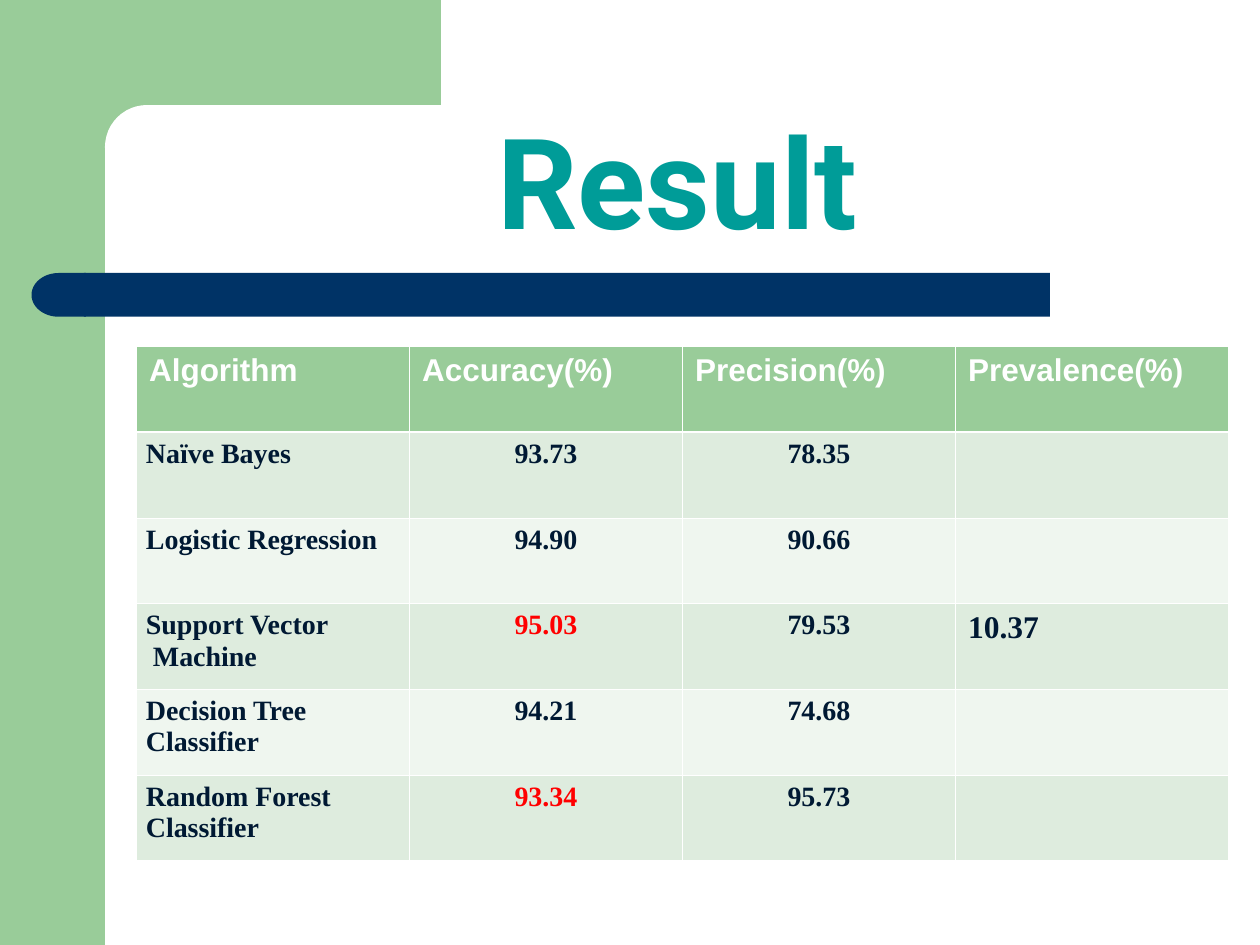
from dataclasses import dataclass

from lxml.etree import SubElement
from pptx import Presentation
from pptx.dml.color import RGBColor
from pptx.enum.shapes import MSO_SHAPE
from pptx.enum.text import MSO_ANCHOR, PP_ALIGN
from pptx.oxml import parse_xml
from pptx.oxml.ns import nsdecls, qn
from pptx.util import Pt


@dataclass(frozen=True)
class Theme:
    green: str = "99CC99"
    navy: str = "003366"
    white: str = "FFFFFF"
    teal: str = "009C98"
    ink: str = "001933"
    red: str = "FF0000"
    bands: tuple = ("DEECDE", "EFF6EF")
    title_font: str = "Roboto"
    header_font: str = "Arial"
    body_font: str = "Times New Roman"
    title_size: float = 72
    large_size: float = 18
    body_size: float = 16
    thin_line: float = 0.45
    thick_line: float = 1.47


class SlideBuilder:
    def __init__(self, slide, theme):
        self.slide = slide
        self.theme = theme

    def block(self, kind, left, top, width, height, color, rounding=None, rotation=0):
        shape = self.slide.shapes.add_shape(kind, Pt(left), Pt(top), Pt(width), Pt(height))
        shape.shadow.inherit = False
        shape.fill.solid()
        shape.fill.fore_color.rgb = RGBColor.from_string(color)
        shape.line.fill.background()
        shape.rotation = rotation
        if rounding is not None:
            shape.adjustments[0] = rounding

    def style(self, paragraph, font, size, color, alignment):
        paragraph.alignment = alignment
        paragraph.font.name = font
        paragraph.font.size = Pt(size)
        paragraph.font.bold = True
        paragraph.font.color.rgb = RGBColor.from_string(color)

    def title(self, text, left, top, width, height):
        box = self.slide.shapes.add_textbox(Pt(left), Pt(top), Pt(width), Pt(height))
        frame = box.text_frame
        frame.word_wrap = True
        frame.vertical_anchor = MSO_ANCHOR.BOTTOM
        paragraph = frame.paragraphs[0]
        paragraph.text = text
        paragraph.line_spacing = 0.9
        self.style(paragraph, self.theme.title_font, self.theme.title_size,
                   self.theme.teal, PP_ALIGN.CENTER)

    def borders(self, cell, top, bottom):
        thin = self.theme.thin_line
        properties = cell._tc.get_or_add_tcPr()
        sides = {"lnL": thin, "lnR": thin, "lnT": top, "lnB": bottom}
        for position, (side, width) in enumerate(sides.items()):
            line = parse_xml(f'<a:{side} {nsdecls("a")} w="{Pt(width)}"/>')
            fill = SubElement(line, qn("a:solidFill"))
            SubElement(fill, qn("a:srgbClr"), val=self.theme.white)
            properties.insert(position, line)

    def cell(self, cell, text, fill, font, size, color, alignment, margin):
        cell.fill.solid()
        cell.fill.fore_color.rgb = RGBColor.from_string(fill)
        cell.margin_left = cell.margin_right = Pt(margin)
        cell.margin_top = cell.margin_bottom = Pt(3.6)
        cell.text_frame.text = text
        for paragraph in cell.text_frame.paragraphs:
            self.style(paragraph, font, size, color, alignment)

    def table(self, rows, highlights, left, top, column_width, row_height):
        theme = self.theme
        row_count, column_count = len(rows), len(rows[0])
        table = self.slide.shapes.add_table(
            row_count, column_count, Pt(left), Pt(top),
            Pt(column_width * column_count), Pt(row_height * row_count)).table
        for column in table.columns:
            column.width = Pt(column_width)
        for r, row in enumerate(rows):
            table.rows[r].height = Pt(row_height)
            for c, text in enumerate(row):
                cell = table.cell(r, c)
                fill = theme.bands[(r - 1) % 2] if r else theme.green
                font = theme.body_font if r else theme.header_font
                color = theme.ink if r else theme.white
                # The header and the prevalence column are larger
                if r == 0 or c == column_count - 1:
                    size, alignment, margin = theme.large_size, PP_ALIGN.LEFT, 7.2
                else:
                    size, margin = theme.body_size, 5.4
                    alignment = PP_ALIGN.CENTER if c else PP_ALIGN.JUSTIFY
                if text in highlights:
                    color = theme.red
                self.cell(cell, text, fill, font, size, color, alignment, margin)
                self.borders(cell,
                             theme.thick_line if r == 1 else theme.thin_line,
                             theme.thick_line if r == 0 else theme.thin_line)


RESULTS = [
    ("Algorithm", "Accuracy(%)", "Precision(%)", "Prevalence(%)"),
    ("Naïve Bayes", "93.73", "78.35", ""),
    ("Logistic Regression", "94.90", "90.66", ""),
    ("Support Vector\n Machine", "95.03", "79.53", "10.37"),
    ("Decision Tree \nClassifier", "94.21", "74.68", ""),
    ("Random Forest \nClassifier", "93.34", "95.73", ""),
]


def main():
    presentation = Presentation()
    presentation.slide_width, presentation.slide_height = Pt(720), Pt(540)
    slide = presentation.slides.add_slide(presentation.slide_layouts[6])
    theme = Theme()
    builder = SlideBuilder(slide, theme)

    # Green frame with a rounded inner corner
    builder.block(MSO_SHAPE.RECTANGLE, 0, 0, 60, 540, theme.green)
    builder.block(MSO_SHAPE.RECTANGLE, 54, 0, 198, 84, theme.green)
    builder.block(MSO_SHAPE.ROUNDED_RECTANGLE, 60, 60, 402, 48, theme.white, rounding=0.5)

    # Navy bar with a rounded left end
    builder.block(MSO_SHAPE.ROUNDED_RECTANGLE, 48, 156, 552, 25, theme.navy, rounding=0)
    builder.block(MSO_SHAPE.FLOWCHART_DELAY, 18, 156, 31, 25, theme.navy, rotation=180)

    # Title
    builder.title("Result", 72, 60, 630, 90)

    # Results table
    builder.table(RESULTS, {"95.03", "93.34"}, 78, 198, 156, 49)

    presentation.save("out.pptx")


if __name__ == "__main__":
    main()
